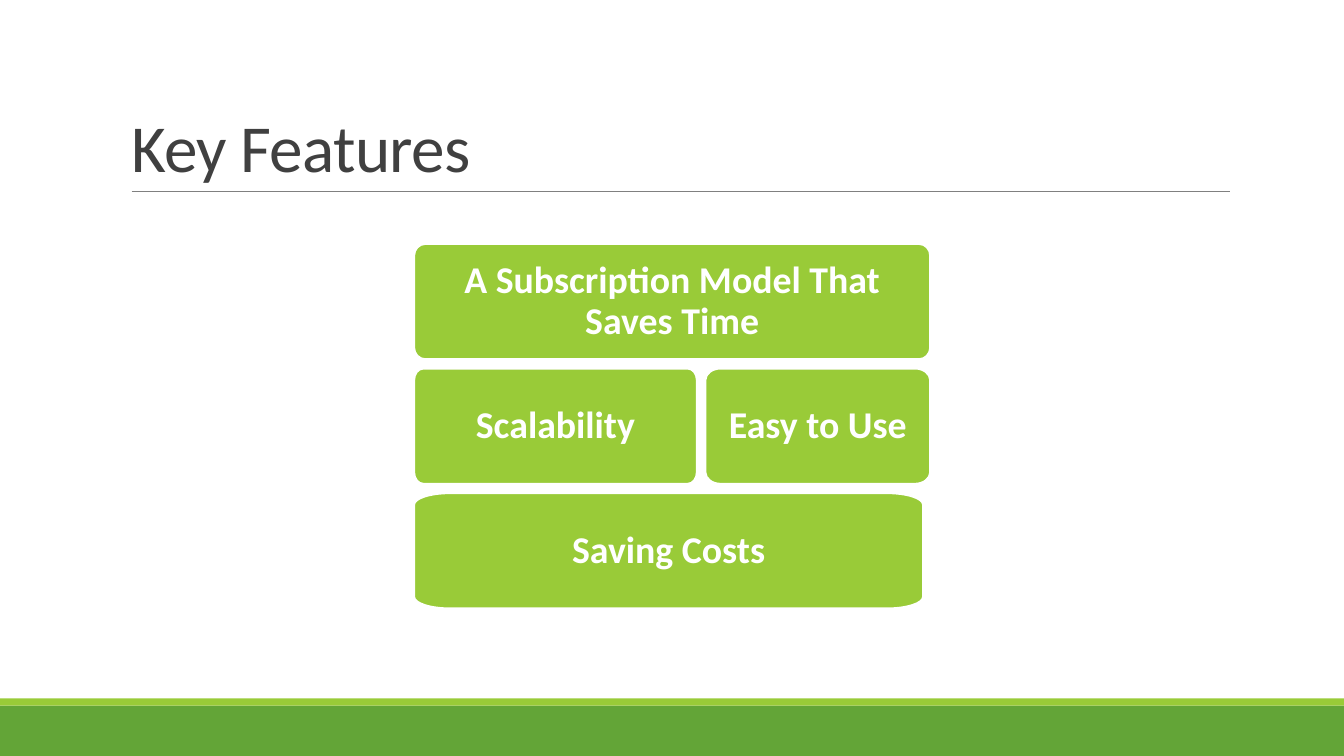
from lxml import etree
from pptx import Presentation
from pptx.dml.color import RGBColor
from pptx.enum.shapes import MSO_CONNECTOR, MSO_SHAPE
from pptx.enum.text import MSO_ANCHOR, MSO_AUTO_SIZE, PP_ALIGN
from pptx.oxml.ns import qn
from pptx.util import Cm, Pt

RECT, STRAIGHT = MSO_SHAPE.RECTANGLE, MSO_CONNECTOR.STRAIGHT
MIDDLE, BOTTOM = MSO_ANCHOR.MIDDLE, MSO_ANCHOR.BOTTOM
LEFT, CENTER = PP_ALIGN.LEFT, PP_ALIGN.CENTER
NO_FIT = MSO_AUTO_SIZE.NONE

# Content
TITLE = "Key Features"
FEATURES = [  # text, row, left, width, horizontal corner radius (cm)
    ("A Subscription Model That Saves Time", 0, 10.44, 13.0, 0.28),
    ("Scalability", 1, 10.44, 7.12, 0.23),
    ("Saving Costs", 2, 10.44, 12.82, 0.9),
    ("Easy to Use", 1, 17.78, 5.66, 0.38),
]
BANDS = [("green", 17.78, 1.27), ("lime", 17.6, 0.18)]  # colour, top, height

COLORS = {"green": "63A537", "lime": "99CB38", "rule": "808080",
          "title": "404040", "white": "FFFFFF"}
FONT = "Calibri"
SLIDE_W, SLIDE_H = 33.87, 19.05
ROW_TOP, ROW_PITCH, BOX_H, CORNER_H = 6.15, 3.14, 2.9, 0.29
CURVE = 0.55  # Bezier handle length of a quarter ellipse


def color(name):
    return RGBColor.from_string(COLORS[name])


def format_text(p, size, name, align, spacing, bold=False):
    p.alignment = align
    p.line_spacing = spacing
    p.font.name = FONT
    p.font.size = Pt(size)
    p.font.bold = bold
    p.font.color.rgb = color(name)


def add_rounded_box(s, x, y, w, h, rx, ry):
    """Freeform box whose corners are quarter ellipses."""
    r, b = x + w, y + h
    outline = [(x, y + ry), (x + rx, y), (r - rx, y), (r, y + ry),
               (r, b - ry), (r - rx, b), (x + rx, b), (x, b - ry), (x, y + ry)]
    points = [(Cm(px), Cm(py)) for px, py in outline]
    builder = s.shapes.build_freeform(*points[0])
    builder.add_line_segments(points[1:], close=True)
    sp = builder.convert_to_shape()

    # Every second segment is a corner: turn it into a curve
    segments = list(sp._element.iter(qn("a:moveTo"), qn("a:lnTo")))
    ends = [(int(seg[0].get("x")), int(seg[0].get("y"))) for seg in segments]
    for i in range(1, len(segments), 2):
        (ax, ay), (bx, by) = ends[i - 1], ends[i]
        cx, cy = (ax, by) if i % 4 == 1 else (bx, ay)
        curve = etree.Element(qn("a:cubicBezTo"))
        for px, py in ((ax, ay), (bx, by)):
            etree.SubElement(curve, qn("a:pt"), x=str(round(px + CURVE * (cx - px))),
                             y=str(round(py + CURVE * (cy - py))))
        etree.SubElement(curve, qn("a:pt"), x=str(bx), y=str(by))
        segments[i].getparent().replace(segments[i], curve)
    return sp


prs = Presentation()
prs.slide_width, prs.slide_height = Cm(SLIDE_W), Cm(SLIDE_H)
s = prs.slides.add_slide(prs.slide_layouts[5])

# Footer bands
for name, top, height in BANDS:
    sp = s.shapes.add_shape(RECT, 0, Cm(top), prs.slide_width, Cm(height))
    sp.shadow.inherit = False
    sp.fill.solid()
    sp.fill.fore_color.rgb = color(name)
    sp.line.fill.background()

# Title and the rule under it
title = s.shapes.title
title.left, title.top, title.width, title.height = Cm(3.05), Cm(0.79), Cm(27.94), Cm(4.04)
tf = title.text_frame
tf.text = TITLE
tf.auto_size = NO_FIT
tf.vertical_anchor = BOTTOM
p = tf.paragraphs[0]
format_text(p, 48, "title", LEFT, 0.85)
p.runs[0].font._element.set("spc", "-50")

rule = s.shapes.add_connector(STRAIGHT, Cm(3.32), Cm(4.83), Cm(31), Cm(4.83))
rule.line.color.rgb = color("rule")
rule.line.width = Pt(0.5)
etree.SubElement(rule._element.spPr, qn("a:effectLst"))

# Feature boxes
for text, row, left, width, radius in FEATURES:
    top = ROW_TOP + row * ROW_PITCH
    sp = add_rounded_box(s, left, top, width, BOX_H, radius, CORNER_H)
    sp.shadow.inherit = False
    sp.fill.solid()
    sp.fill.fore_color.rgb = color("lime")
    sp.line.color.rgb = color("white")
    sp.line.width = Pt(1.25)
    tf = sp.text_frame
    tf.text = text
    tf.word_wrap = True
    tf.vertical_anchor = MIDDLE
    tf.margin_left = tf.margin_right = tf.margin_top = tf.margin_bottom = Cm(0.38)
    format_text(tf.paragraphs[0], 27, "white", CENTER, 0.9, bold=True)

prs.save("out.pptx")
